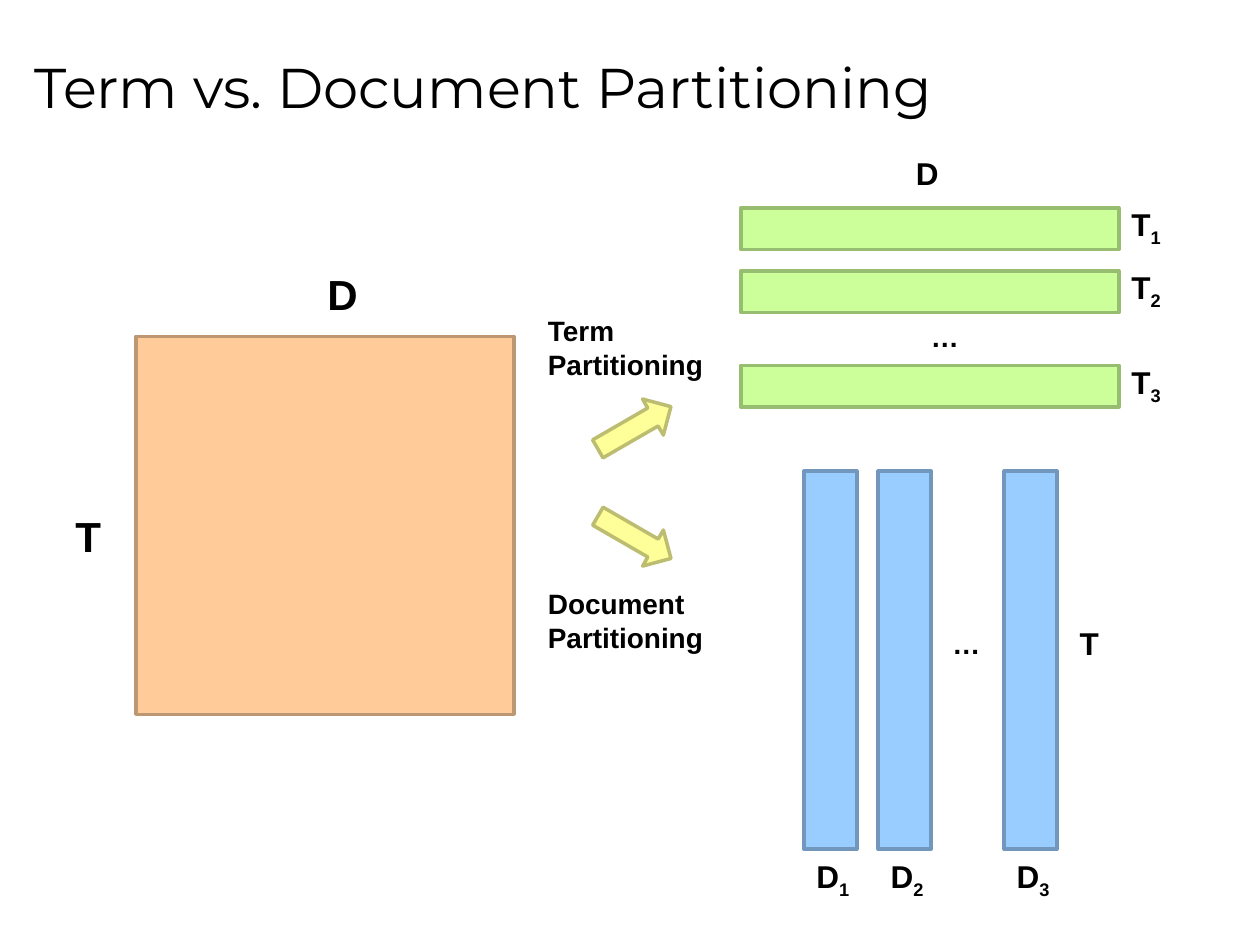
"""Build the slide that compares term and document partitioning."""
from dataclasses import dataclass

from pptx import Presentation
from pptx import util as u
from pptx.dml.color import RGBColor
from pptx.enum import shapes, text

PX = u.Inches(1) // 100
RECT = shapes.MSO_SHAPE.RECTANGLE
ARROW = shapes.MSO_SHAPE.RIGHT_ARROW
ORANGE = ("FFCC99", "BD9771")
GREEN = ("CCFF99", "97BD71")
BLUE = ("99CCFF", "7197BD")
YELLOW = ("FFFF99", "BDBD71")


@dataclass
class Block:
    """A filled, outlined shape."""
    x: int
    y: int
    w: int
    h: int
    colors: tuple[str, str]
    kind: int = RECT
    rotation: int = 0


@dataclass
class Label:
    """A bold label with an optional subscript."""
    x: int
    y: int
    w: int
    h: int
    words: str
    size: int = 18
    sub: str = ""


def rgb(value: str) -> RGBColor:
    """Turn a hex string into a colour."""
    return RGBColor.from_string(value)


def box(*lengths: int) -> list[int]:
    """Turn px lengths into EMU."""
    return [n * PX for n in lengths]


def style(font, **values) -> None:
    """Set black text and the given font values."""
    for name, value in values.items():
        setattr(font, name, value)
    font.color.rgb = rgb("000000")


def draw_block(slide, block: Block) -> None:
    """Draw one block."""
    sp = slide.shapes.add_shape(block.kind, *box(block.x, block.y, block.w, block.h))
    fill, line = block.colors
    sp.shadow.inherit = False
    sp.rotation = block.rotation
    sp.fill.solid()
    sp.fill.fore_color.rgb = rgb(fill)
    sp.line.color.rgb = rgb(line)
    sp.line.width = u.Pt(2)


def draw_label(slide, label: Label) -> None:
    """Draw one label."""
    sp = slide.shapes.add_textbox(*box(label.x, label.y, label.w, label.h))
    tf = sp.text_frame
    tf.word_wrap = False
    tf.auto_size = text.MSO_AUTO_SIZE.SHAPE_TO_FIT_TEXT
    p = tf.paragraphs[0]
    p.text = label.words.replace("\n", "\v")
    if label.sub:
        r = p.add_run()
        r.text = label.sub
        r.font._element.set("baseline", "-25000")
    for r in p.runs:
        style(r.font, name="Arial", size=u.Pt(label.size), bold=True)


def draw_title(slide, words: str) -> None:
    """Place and format the title."""
    sp = slide.shapes.title
    sp.left, sp.top, sp.width, sp.height = box(17, 12, 950, 112)
    tf = sp.text_frame
    tf.vertical_anchor = text.MSO_ANCHOR.MIDDLE
    tf.word_wrap = True
    p = tf.paragraphs[0]
    p.text = words
    p.alignment = text.PP_ALIGN.LEFT
    style(p.runs[0].font, name="Montserrat", size=u.Pt(32))


def main() -> None:
    """Build and save the slide."""
    prs = Presentation()
    prs.slide_width, prs.slide_height = box(1000, 750)
    slide = prs.slides.add_slide(prs.slide_layouts[5])
    draw_title(slide, "Term vs. Document Partitioning")

    blocks = [
        Block(108, 267, 300, 300, ORANGE),
        Block(470, 323, 67, 33, YELLOW, ARROW, 330),
        Block(470, 410, 67, 33, YELLOW, ARROW, 30),
    ]
    labels = [
        Label(50, 400, 41, 50, "T", 24),
        Label(250, 208, 45, 50, "D", 24),
        Label(425, 244, 145, 64, "Term\nPartitioning", 16),
        Label(425, 461, 145, 64, "Document\nPartitioning", 16),
        Label(717, 117, 38, 40, "D"),
        Label(847, 490, 36, 40, "T"),
        Label(729, 249, 43, 37, "…", 16),
        Label(746, 492, 43, 37, "…", 16),
    ]
    for i, (row_y, column_x) in enumerate(zip((165, 215, 290), (638, 697, 797)), 1):
        blocks += [Block(588, row_y, 300, 33, GREEN), Block(column_x, 374, 42, 300, BLUE)]
        labels += [
            Label(888, row_y - 7, 45, 40, "T", sub=str(i)),
            Label(column_x, 675, 48, 40, "D", sub=str(i)),
        ]
    for block in blocks:
        draw_block(slide, block)
    for label in labels:
        draw_label(slide, label)
    prs.save("out.pptx")


if __name__ == "__main__":
    main()
